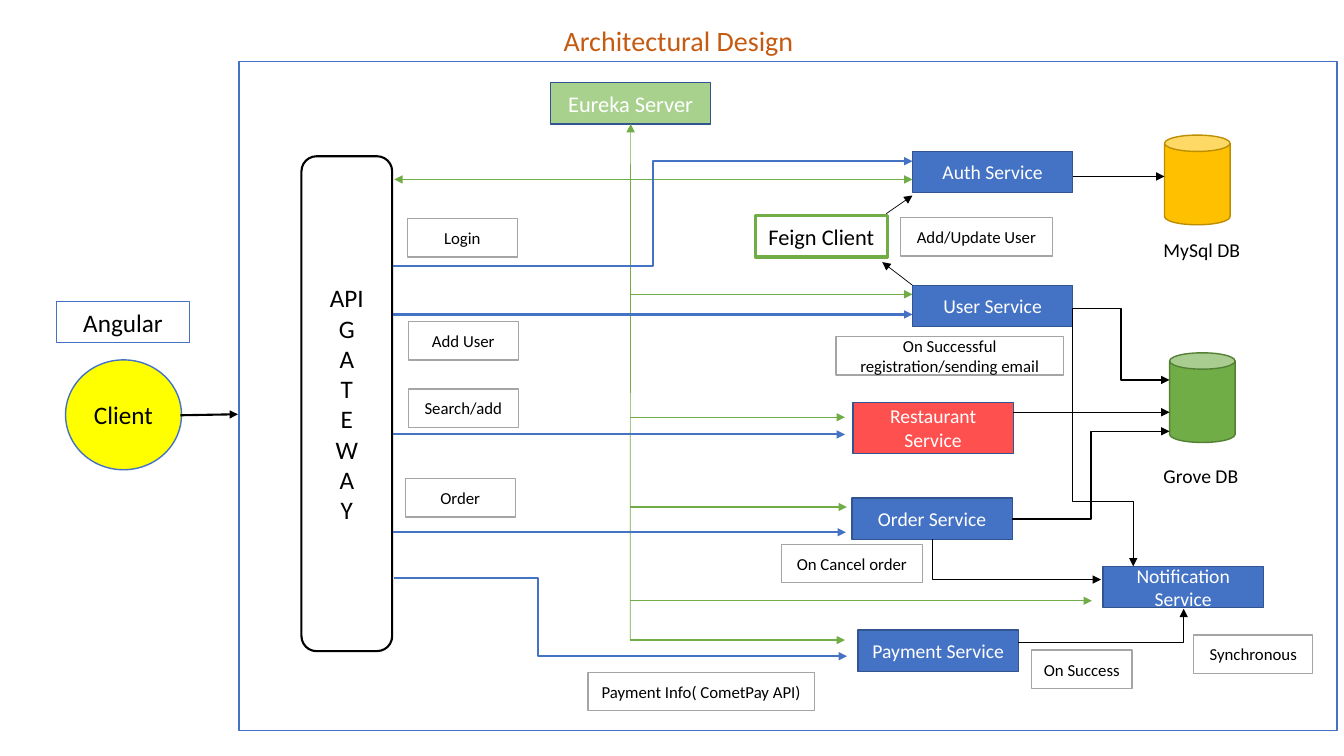
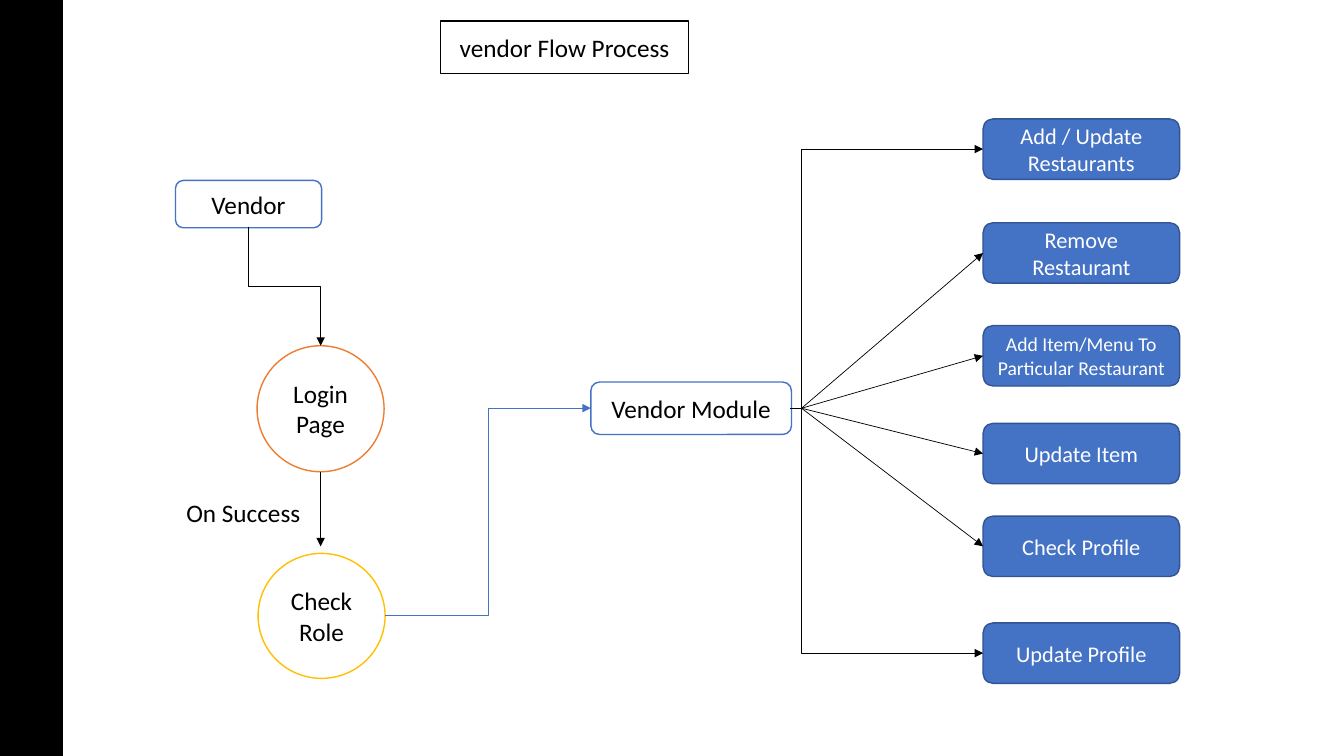
from dataclasses import dataclass

import pptx
import pptx.dml.color
import pptx.enum.shapes
import pptx.enum.text
import pptx.oxml
import pptx.oxml.ns
import pptx.util

SHAPE = pptx.enum.shapes.MSO_SHAPE
CONNECTOR = pptx.enum.shapes.MSO_CONNECTOR
ALIGN = pptx.enum.text.PP_ALIGN
ANCHOR = pptx.enum.text.MSO_ANCHOR
qn = pptx.oxml.ns.qn

EMU_PER_PX = 9144  # 100 px to the inch
Point = tuple[int, int]


@dataclass(frozen=True)
class Theme:
    font: str = "Calibri"
    white: str = "FFFFFF"
    black: str = "000000"
    blue: str = "4472C4"
    navy: str = "325491"
    green: str = "70AD47"
    dark_green: str = "538035"
    pale_green: str = "A9D18E"
    gold: str = "FFC000"
    dark_gold: str = "BD8E00"
    orange: str = "ED7D31"
    rust: str = "C55A11"
    red: str = "FF5050"
    yellow: str = "FFFF00"
    grey: str = "A5A5A5"
    title: int = 20
    large: int = 18
    medium: int = 16
    body: int = 14
    small: int = 12
    thin: float = 0.5
    line: float = 1
    bold: float = 1.5
    heavy: float = 2.25


T = Theme()


@dataclass(frozen=True)
class Look:
    fill: str = T.white
    line: str = T.blue
    weight: float = T.line
    size: int = T.large
    ink: str = T.black


PLAIN = Look()
SERVICE = Look(T.blue, T.navy, size=T.body, ink=T.white)
ACTION = Look(T.blue, T.navy, size=T.medium, ink=T.white)
LABEL = Look(line=T.grey, size=T.small)


@dataclass(frozen=True)
class Box:
    x: int
    y: int
    w: int
    h: int
    text: str = ""
    look: Look = PLAIN
    kind: SHAPE = SHAPE.RECTANGLE


@dataclass(frozen=True)
class Wire:
    start: Point
    end: Point
    color: str = T.black
    weight: float = T.line
    bend: float = 0.5         # place of the middle leg, as a share of the run
    corners: int = 2
    down_first: bool = False


def px(n: float) -> pptx.util.Emu:
    return pptx.util.Emu(round(n * EMU_PER_PX))


def rgb(color: str) -> pptx.dml.color.RGBColor:
    return pptx.dml.color.RGBColor.from_string(color)


def write(tf, text: str, size: int, ink: str, align=ALIGN.CENTER) -> None:
    tf.text = text
    tf.word_wrap = True
    for p in tf.paragraphs:
        p.alignment = align
        p.font.name = T.font
        p.font.size = pptx.util.Pt(size)
        p.font.color.rgb = rgb(ink)


def paint(sp, look: Look) -> None:
    sp.fill.solid()
    sp.fill.fore_color.rgb = rgb(look.fill)
    sp.line.color.rgb = rgb(look.line)
    sp.line.width = pptx.util.Pt(look.weight)


def draw_box(s, box: Box):
    sp = s.shapes.add_shape(box.kind, px(box.x), px(box.y), px(box.w), px(box.h))
    sp.shadow.inherit = False
    paint(sp, box.look)
    if box.text:
        write(sp.text_frame, box.text, box.look.size, box.look.ink)
    return sp


def draw_caption(s, x: int, y: int, w: int, h: int, text: str, size: int) -> None:
    sp = s.shapes.add_textbox(px(x), px(y), px(w), px(h))
    write(sp.text_frame, text, size, T.black, ALIGN.LEFT)


def set_title(s, x: int, y: int, w: int, h: int, text: str, size: int, ink: str,
              align=ALIGN.CENTER):
    sp = s.shapes.title
    sp.left, sp.top, sp.width, sp.height = px(x), px(y), px(w), px(h)
    tf = sp.text_frame
    write(tf, text, size, ink, align)
    tf.auto_size = pptx.enum.text.MSO_AUTO_SIZE.NONE
    tf.vertical_anchor = ANCHOR.MIDDLE
    return sp


def draw_arrow(s, wire: Wire, kind=CONNECTOR.STRAIGHT):
    (x1, y1), (x2, y2) = wire.start, wire.end
    cx = s.shapes.add_connector(kind, px(x1), px(y1), px(x2), px(y2))
    cx.line.color.rgb = rgb(wire.color)
    cx.line.width = pptx.util.Pt(wire.weight)
    ln = cx.line._get_or_add_ln()
    ln.append(pptx.oxml.xmlchemy.OxmlElement("a:tailEnd"))
    ln[-1].set("type", "triangle")
    cx._element.spPr.append(pptx.oxml.xmlchemy.OxmlElement("a:effectLst"))
    return cx


def draw_elbow(s, wire: Wire) -> None:
    cx = draw_arrow(s, wire, CONNECTOR.ELBOW)
    sp_pr = cx._element.spPr
    geom = sp_pr.find(qn("a:prstGeom"))
    if wire.corners == 1:
        geom.set("prst", "bentConnector2")
    else:
        guides = geom.find(qn("a:avLst"))
        if guides is None:
            guides = pptx.oxml.xmlchemy.OxmlElement("a:avLst")
            geom.append(guides)
        gd = pptx.oxml.xmlchemy.OxmlElement("a:gd")
        gd.set("name", "adj1")
        gd.set("fmla", f"val {round(wire.bend * 100000)}")
        guides.append(gd)
    if wire.down_first:
        # A quarter turn about the centre, so width and height change places
        (x1, y1), (x2, y2) = wire.start, wire.end
        w, h = y2 - y1, x2 - x1
        cx.left, cx.top = px((x1 + x2 - w) / 2), px((y1 + y2 - h) / 2)
        cx.width, cx.height = px(w), px(h)
        xfrm = sp_pr.find(qn("a:xfrm"))
        xfrm.set("rot", "16200000")
        xfrm.set("flipH", "1")


def service(x: int, y: int, text: str, look: Look = SERVICE, h: int = 41) -> Box:
    return Box(x, y, 159, h, text, look)


def label(x: int, y: int, w: int, text: str) -> Box:
    return Box(x, y, w, 38, text, LABEL)


def build_architecture(prs) -> None:
    s = prs.slides.add_slide(prs.slide_layouts[5])
    set_title(s, 549, 18, 297, 44, "Architectural Design", T.title, T.rust, ALIGN.LEFT)

    # Frame, client and gateway
    for box in (
        Box(237, 61, 1089, 664),
        Box(56, 299, 132, 41, "Angular"),
        Box(65, 357, 115, 109, "Client", Look(T.yellow), SHAPE.OVAL),
        Box(299, 155, 90, 491, "\n".join(["API", *"GATEWAY"]),
            Look(line=T.black, weight=T.bold), SHAPE.ROUNDED_RECTANGLE),
    ):
        draw_box(s, box)

    # Services and databases
    eureka = draw_box(s, service(546, 82, "Eureka Server",
                                 Look(T.pale_green, T.navy, size=T.medium, ink=T.white)))
    for box in (
        service(905, 150, "Auth Service"),
        service(905, 283, "User Service"),
        service(846, 399, "Restaurant Service",
                Look(T.red, T.navy, size=T.body, ink=T.white), 51),
        service(845, 494, "Order Service"),
        service(851, 625, "Payment Service"),
        service(1094, 562, "Notification Service"),
        Box(749, 214, 131, 41, "Feign Client",
            Look(line=T.green, weight=T.heavy, size=T.medium)),
        Box(1155, 134, 65, 89, look=Look(T.gold, T.dark_gold), kind=SHAPE.CAN),
        Box(1160, 350, 65, 89, look=Look(T.green, T.dark_green), kind=SHAPE.CAN),
    ):
        draw_box(s, box)
    for y, text in ((231, "MySql DB"), (455, "Grove DB")):
        draw_caption(s, 1144, y, 111, 34, text, T.body)

    # Registry line and its branches
    bus_x = 625
    for x, y in ((391, 178), (905, 178), (905, 292), (838, 414), (840, 503),
                 (1083, 596), (838, 635)):
        draw_arrow(s, Wire((bus_x, y), (x, y), T.green))
    registry = draw_arrow(s, Wire((bus_x, 635), (bus_x, 123), T.green, T.thin))
    registry.end_connect(eureka, 2)

    # Calls from the gateway
    for x, y in ((905, 312), (838, 431), (839, 528)):
        draw_arrow(s, Wire((390, y), (x, y), T.blue, T.bold))
    draw_elbow(s, Wire((390, 264), (905, 160), T.blue, T.bold))
    draw_elbow(s, Wire((391, 573), (840, 651), T.blue, T.bold, 0.317))

    # Calls between services and databases
    for wire in (
        Wire((179, 412), (236, 411), weight=T.bold),
        Wire((1064, 175), (1155, 175)),
        Wire((1005, 409), (1160, 409)),
        Wire((905, 283), (875, 260), weight=T.thin),
        Wire((879, 212), (905, 194), weight=T.thin),
    ):
        draw_arrow(s, wire)
    for wire in (
        Wire((1004, 515), (1160, 428)),
        Wire((1064, 306), (1160, 377)),
        Wire((1064, 306), (1124, 562), bend=0.748, down_first=True),
        Wire((1010, 637), (1174, 604), weight=T.thin, corners=1),
        Wire((925, 535), (1092, 575), corners=1, down_first=True),
    ):
        draw_elbow(s, wire)

    # Labels on the calls
    for box in (
        label(404, 217, 109, "Login"),
        label(405, 319, 109, "Add User"),
        label(405, 386, 109, "Search/add"),
        label(402, 475, 109, "Order"),
        label(893, 216, 151, "Add/Update User"),
        label(829, 334, 226, "On Successful registration/sending email"),
        label(775, 540, 140, "On Cancel order"),
        label(583, 667, 225, "Payment Info( CometPay API)"),
        label(1023, 645, 100, "On Success"),
        label(1184, 630, 118, "Synchronous"),
    ):
        draw_box(s, box)


def build_vendor_flow(prs) -> None:
    s = prs.slides.add_slide(prs.slide_layouts[5])
    title = set_title(s, 437, 21, 246, 52, "vendor Flow Process", T.large, T.black)
    paint(title, Look(line=T.black))
    draw_box(s, Box(0, 0, 62, 750, look=Look(T.black, T.black)))

    # Login steps
    for box in (
        Box(174, 179, 145, 47, "Vendor", kind=SHAPE.ROUNDED_RECTANGLE),
        Box(255, 343, 126, 125, "Login Page", Look(line=T.orange), SHAPE.OVAL),
        Box(256, 549, 126, 124, "Check Role", Look(line=T.gold), SHAPE.OVAL),
        Box(586, 379, 199, 52, "Vendor Module", kind=SHAPE.ROUNDED_RECTANGLE),
    ):
        draw_box(s, box)
    draw_caption(s, 175, 488, 136, 40, "On Success", T.large)
    draw_elbow(s, Wire((246, 225), (318, 343), weight=T.thin, down_first=True))
    draw_arrow(s, Wire((318, 468), (318, 542), weight=T.thin))
    draw_elbow(s, Wire((382, 611), (586, 405), T.blue, T.thin))

    # Actions of the vendor module: the outer two by elbow, the rest from the fork
    actions = (
        (118, "Add / Update Restaurants", ACTION),
        (221, "Remove Restaurant", ACTION),
        (323, "Add Item/Menu To Particular Restaurant", SERVICE),
        (420, "Update Item", ACTION),
        (512, "Check Profile", ACTION),
        (618, "Update Profile", ACTION),
    )
    for i, (y, text, look) in enumerate(actions):
        sp = draw_box(s, Box(975, y, 195, 60, text, look, SHAPE.ROUNDED_RECTANGLE))
        end = (975, y + 30)
        if i in (0, len(actions) - 1):
            draw_elbow(s, Wire((784, 405), end, weight=T.thin, bend=0.058))
        else:
            draw_arrow(s, Wire((795, 405), end, weight=T.thin)).end_connect(sp, 1)


def main() -> None:
    prs = pptx.Presentation()
    prs.slide_width, prs.slide_height = px(1333), px(750)
    build_architecture(prs)
    build_vendor_flow(prs)
    prs.save("out.pptx")


if __name__ == "__main__":
    main()
